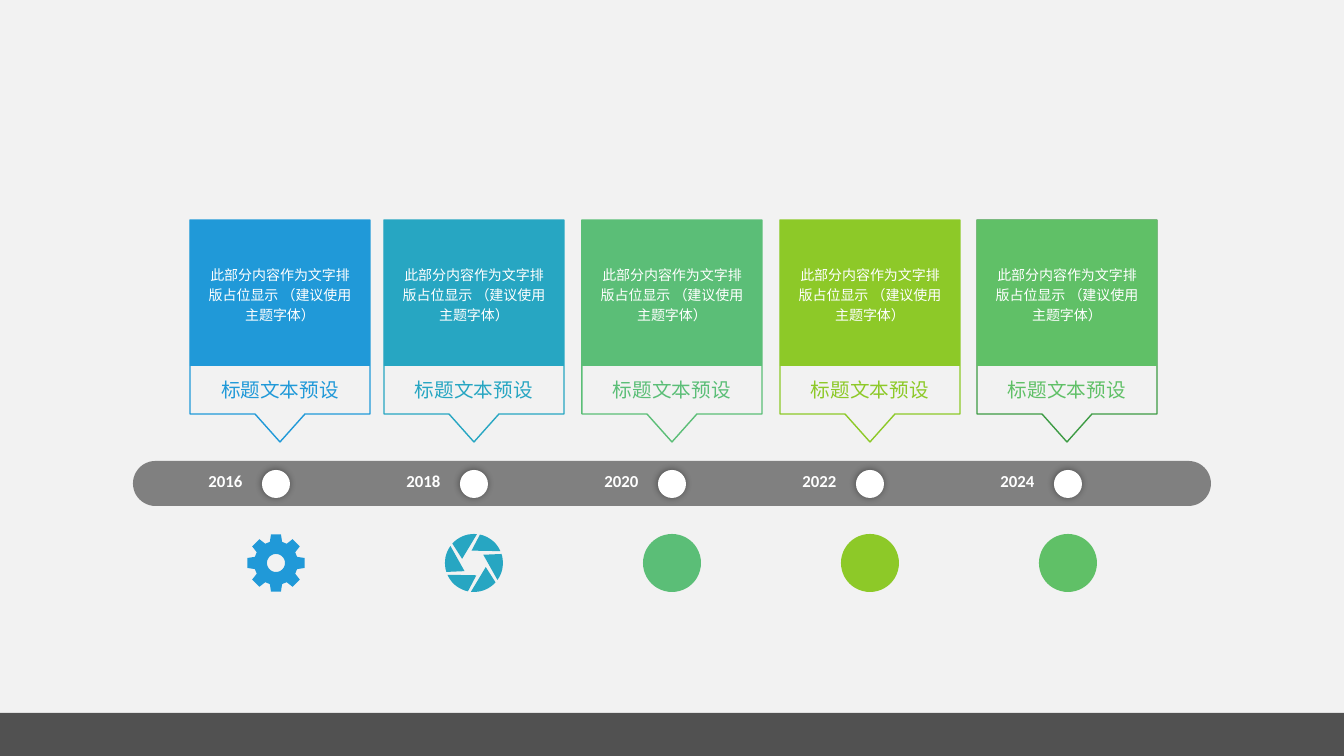
"""Build a five-step timeline slide with callout cards, years and icons."""
from math import cos, radians, sin

from lxml import etree
from pptx import Presentation, util as u
from pptx.dml.color import RGBColor
from pptx.enum import shapes, text
from pptx.oxml.ns import qn

PX = 914400 / 100.8
THEME = {
    "font": "Calibri", "back": "F2F2F2", "foot": "0D0D0D", "bar": "808080",
    "white": "FFFFFF", "shade": "000000", "body": 10, "year": 12, "head": 14,
}
BODY = "此部分内容作为文字排版占位显示 （建议使用主题字体）"
HEAD = "标题文本预设"
STEPS = [
    ("2016", 190, "2099D8", "2099D8"),
    ("2018", 384, "27A6C2", "27A6C2"),
    ("2020", 582, "5BBE77", "5BBE77"),
    ("2022", 780, "8DC928", "8DC928"),
    ("2024", 977, "60C067", "3D9B44"),
]
TOP, WIDE, SPLIT, BASE, TIP = 220, 180, 366, 414, 442
MID, ICON, RIM = 484, 563, 29
KIND = shapes.MSO_SHAPE


def put(kind, box, tint):
    """Add a plain filled preset shape; box is left, top, width, height in px."""
    item = slide.shapes.add_shape(kind, *(u.Emu(round(n * PX)) for n in box))
    item.shadow.inherit = False
    item.fill.solid()
    item.fill.fore_color.rgb = RGBColor.from_string(tint)
    item.line.fill.background()
    return item


def trace(loops, tint, solid):
    """Add a closed outline in px, either filled or drawn as a thin line."""
    loops = [[(x * 10, y * 10) for x, y in loop] for loop in loops]
    pen = slide.shapes.build_freeform(*loops[0][0], scale=PX / 10)
    for loop in loops:
        if loop is not loops[0]:
            pen.move_to(*loop[0])
        pen.add_line_segments(loop[1:], close=True)
    item = pen.convert_to_shape()
    item.shadow.inherit = False
    paint, blank = (item.fill, item.line.fill) if solid else (item.line.fill, item.fill)
    paint.solid()
    paint.fore_color.rgb = RGBColor.from_string(tint)
    blank.background()
    if not solid:
        item.line.width = u.Pt(1)


deck = Presentation()
deck.slide_width, deck.slide_height = u.Emu(round(1344 * PX)), u.Emu(round(756 * PX))
slide = deck.slides.add_slide(deck.slide_layouts[6])
slide.background.fill.solid()
slide.background.fill.fore_color.rgb = RGBColor.from_string(THEME["back"])

foot = put(KIND.RECTANGLE, (0, 713, 1344, 43), THEME["foot"])
tone = foot._element.spPr.find(qn("a:solidFill"))[0]
etree.SubElement(tone, qn("a:alpha"), val="70000")
bar = put(KIND.ROUNDED_RECTANGLE, (133, 461, 1078, 45), THEME["bar"])
bar.adjustments[0] = 0.5

for step, (year, left, tint, edge) in enumerate(STEPS):
    right, mid, spot = left + WIDE, left + WIDE / 2, 276 + 198 * step
    trace([[(left, TOP), (right, TOP), (right, BASE), (mid + 25, BASE),
            (mid, TIP), (mid - 25, BASE), (left, BASE)]], edge, False)
    card = put(KIND.RECTANGLE, (left, TOP, WIDE, SPLIT - TOP), tint)

    dot = put(KIND.OVAL, (spot - 14, MID - 14, 28, 28), THEME["white"])
    glow = etree.SubElement(dot._element.spPr.find(qn("a:effectLst")), qn("a:outerShdw"),
                            blurRad="63500", dist="0", dir="0", algn="ctr", rotWithShape="0")
    shade = etree.SubElement(glow, qn("a:srgbClr"), val=THEME["shade"])
    etree.SubElement(shade, qn("a:alpha"), val="40000")

    date, head = (
        slide.shapes.add_textbox(*(u.Emu(round(n * PX)) for n in box))
        for box in ((spot - 79, 466, 57, 30), (left, SPLIT, WIDE, 47)))
    for item, words, size, ink, bold, wrap, pad, gap in (
            (card, BODY, "body", THEME["white"], False, True, 16, 1.2),
            (date, year, "year", THEME["white"], True, False, 10, 1),
            (head, HEAD, "head", tint, False, False, 10, 1)):
        frame = item.text_frame
        frame.word_wrap = wrap
        frame.vertical_anchor = text.MSO_ANCHOR.MIDDLE
        frame.margin_left = frame.margin_right = u.Emu(round(pad * PX))
        frame.margin_top = frame.margin_bottom = u.Emu(round(5 * PX))
        para = frame.paragraphs[0]
        para.alignment = text.PP_ALIGN.CENTER
        para.line_spacing = gap
        run = para.add_run()
        run.text = words
        run.font.name = THEME["font"]
        run.font.size = u.Pt(THEME[size])
        run.font.bold = bold
        run.font.color.rgb = RGBColor.from_string(ink)

    if step == 0:
        teeth = [(45 * n + turn, reach) for n in range(8)
                 for turn, reach in ((-16, 22), (-10, RIM), (10, RIM), (16, 22))]
        rings = [teeth, [(turn, 9) for turn in range(0, 360, 10)]]
    elif step == 1:
        rings = [[(60 * n + turn, RIM) for turn in range(-138, -83, 6)]
                 + [(60 * n - 161, 12.5)] for n in range(6)]
    else:
        put(KIND.OVAL, (spot - RIM, ICON - RIM, 2 * RIM, 2 * RIM), tint)
        continue
    trace([[(spot + reach * cos(radians(turn)), ICON + reach * sin(radians(turn)))
            for turn, reach in ring] for ring in rings], tint, True)

deck.save("out.pptx")
